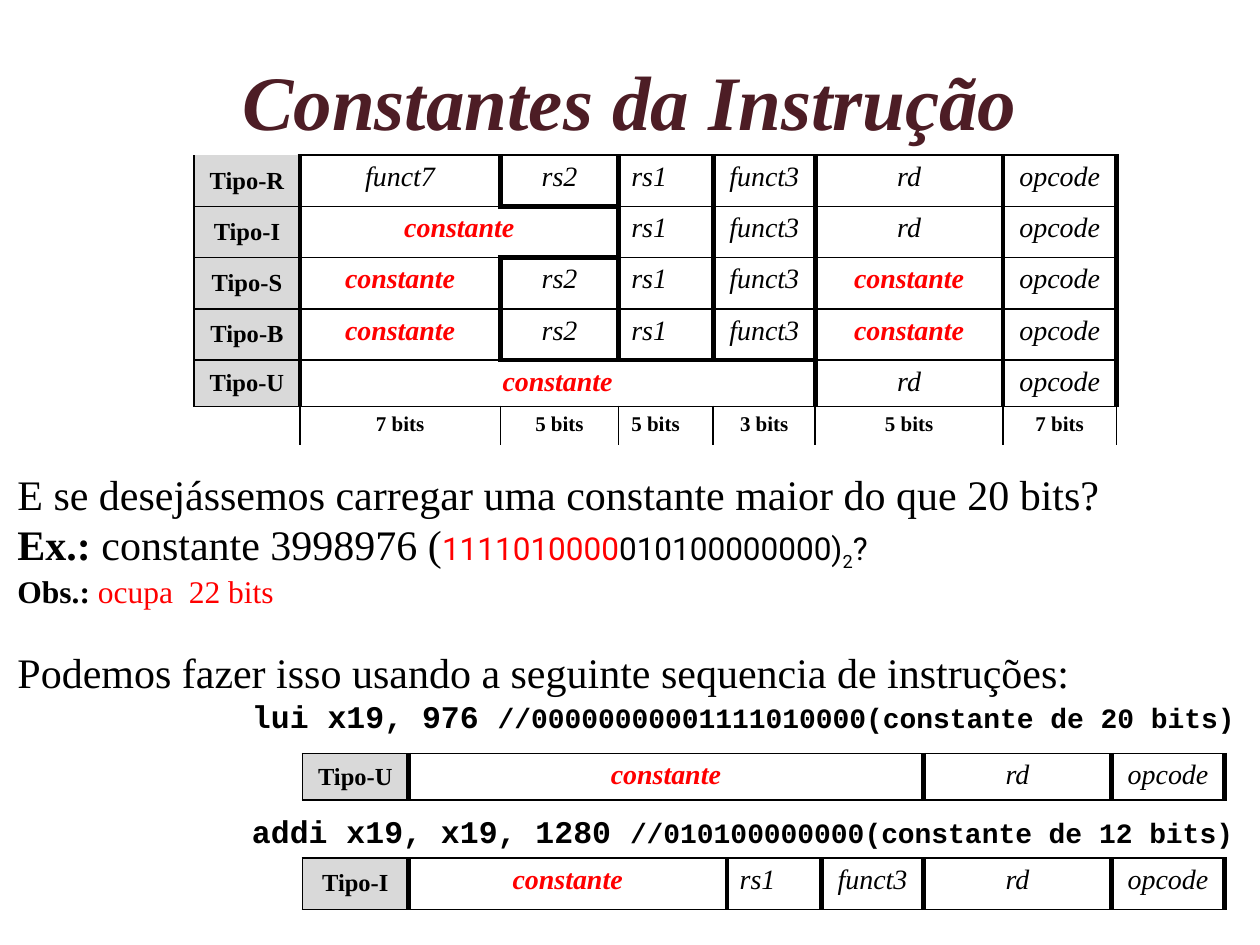
from pptx import Presentation
from pptx.dml.color import RGBColor
from pptx.enum.text import MSO_ANCHOR, PP_ALIGN
from pptx.oxml import parse_xml
from pptx.oxml.ns import nsdecls
from pptx.util import Pt

BLACK = RGBColor(0x00, 0x00, 0x00)
RED = RGBColor(0xFF, 0x00, 0x00)
GRAY = RGBColor(0xD9, 0xD9, 0xD9)
WINE = RGBColor(0x4D, 0x1D, 0x25)
SERIF, SANS, MONO = "Times New Roman", "Roboto", "Courier New"

COLUMN_WIDTHS = [60.5, 114.5, 67.7, 54, 58.3, 107.3, 64.8]
ROW_HEIGHT, SHORT_ROW, BITS_ROW = 29.3, 25.5, 22
# Each field is a text and the number of columns it covers.
FORMATS = {
    "Tipo-R": [("funct7", 1), ("rs2", 1), ("rs1", 1), ("funct3", 1), ("rd", 1), ("opcode", 1)],
    "Tipo-I": [("constante", 2), ("rs1", 1), ("funct3", 1), ("rd", 1), ("opcode", 1)],
    "Tipo-S": [("constante", 1), ("rs2", 1), ("rs1", 1), ("funct3", 1), ("constante", 1), ("opcode", 1)],
    "Tipo-B": [("constante", 1), ("rs2", 1), ("rs1", 1), ("funct3", 1), ("constante", 1), ("opcode", 1)],
    "Tipo-U": [("constante", 4), ("rd", 1), ("opcode", 1)],
}
BIT_COUNTS = [7, 5, 5, 3, 5, 7]
FIELD_BORDERS = {"L": 3, "R": 3, "T": 1, "B": 1}
LABEL_BORDERS = {"L": 1, "R": 3, "T": 1, "B": 1}
BITS_BORDERS = {"L": 1, "R": 1, "T": 1, "B": 0}
THICK_EDGES = {(0, 2): "B", (2, 2): "T", (3, 2): "B", (3, 3): "B", (3, 4): "B"}


def format_run(run, size, font=SERIF, color=BLACK, bold=False, italic=False):
    """Set the character format of a run."""
    run.font.size = Pt(size)
    run.font.name = font
    run.font.color.rgb = color
    run.font.bold = bold
    run.font.italic = italic


def set_borders(cell, widths):
    """Draw the four cell edges; a width of 0 hides an edge."""
    properties = cell._tc.get_or_add_tcPr()
    for position, side in enumerate("LRTB"):
        paint = f'<a:solidFill><a:srgbClr val="{BLACK}"/></a:solidFill>' if widths[side] else "<a:noFill/>"
        properties.insert(position, parse_xml(
            f'<a:ln{side} {nsdecls("a")} w="{Pt(widths[side])}">{paint}</a:ln{side}>'))


def fill_cell(cell, text, size, borders, fill=None, **style):
    """Write one table cell with its fill and borders."""
    if fill is None:
        cell.fill.background()
    else:
        cell.fill.solid()
        cell.fill.fore_color.rgb = fill
        cell.vertical_anchor = MSO_ANCHOR.MIDDLE
    set_borders(cell, borders)
    paragraph = cell.text_frame.paragraphs[0]
    paragraph.text = text
    paragraph.alignment = PP_ALIGN.CENTER
    paragraph.font.size = Pt(size)
    for run in paragraph.runs:
        format_run(run, size, **style)


def add_grid(slide, left, top, widths, heights):
    """Add an unstyled table with the given column widths and row heights."""
    table = slide.shapes.add_table(len(heights), len(widths), Pt(left), Pt(top),
                                   Pt(sum(widths)), Pt(sum(heights))).table
    table.first_row = table.horz_banding = False
    for column, width in zip(table.columns, widths):
        column.width = Pt(width)
    for row, height in zip(table.rows, heights):
        row.height = Pt(height)
    return table


def fill_format_row(table, row, label, fields):
    """Write an instruction format: a gray label and its fields."""
    label_borders = dict(LABEL_BORDERS, T=0) if label == "Tipo-R" else LABEL_BORDERS
    fill_cell(table.cell(row, 0), label, 14, label_borders, GRAY, bold=True)
    column = 1
    for text, span in fields:
        borders = dict(FIELD_BORDERS)
        if len(table.rows) > 1 and (row, column) in THICK_EDGES:
            borders[THICK_EDGES[row, column]] = 3
        cell = table.cell(row, column)
        if span > 1:
            cell.merge(table.cell(row, column + span - 1))
        constant = text == "constante"
        fill_cell(cell, text, 16, borders, italic=True, bold=constant,
                  color=RED if constant else BLACK)
        if text == "rs1":
            cell.text_frame.paragraphs[0].alignment = PP_ALIGN.LEFT
        column += span


def add_format_overview(slide):
    """Add the table of all formats, closed by the row of bit counts."""
    heights = [ROW_HEIGHT] * 4 + [SHORT_ROW, BITS_ROW]
    table = add_grid(slide, 110.9, 88.6, COLUMN_WIDTHS, heights)
    for row, (label, fields) in enumerate(FORMATS.items()):
        fill_format_row(table, row, label, fields)
    last = len(FORMATS)
    fill_cell(table.cell(last, 0), "", 12, dict(BITS_BORDERS, L=0))
    for column, count in enumerate(BIT_COUNTS, start=1):
        fill_cell(table.cell(last, column), f"{count} bits", 12, BITS_BORDERS, bold=True)
    table.cell(last, 3).text_frame.paragraphs[0].alignment = PP_ALIGN.LEFT


def add_single_format(slide, label, top, height):
    """Add a one-row table for one instruction format."""
    widths, start = [COLUMN_WIDTHS[0]], 1
    for _, span in FORMATS[label]:
        widths.append(sum(COLUMN_WIDTHS[start:start + span]))
        start += span
    table = add_grid(slide, 172.8, top, widths, [height])
    fill_format_row(table, 0, label, [(text, 1) for text, _ in FORMATS[label]])


def add_text_box(slide, left, top, width, height):
    """Add a wrapping text box and return its text frame."""
    text_frame = slide.shapes.add_textbox(Pt(left), Pt(top), Pt(width), Pt(height)).text_frame
    text_frame.word_wrap = True
    return text_frame


def add_title(slide):
    """Add the centred slide title."""
    text_frame = add_text_box(slide, 54, 36.7, 612, 47.5)
    text_frame.vertical_anchor = MSO_ANCHOR.MIDDLE
    text_frame.text = "Constantes da Instrução"
    paragraph = text_frame.paragraphs[0]
    paragraph.alignment = PP_ALIGN.CENTER
    paragraph.line_spacing = 0.9
    format_run(paragraph.runs[0], 44, color=WINE, bold=True, italic=True)


def add_explanation(slide):
    """Add the question, the example and the two instructions."""
    code = dict(font=MONO, bold=True)
    # Space before, left indent, and the runs as text, size and style.
    lines = [
        (0, 0, [("E se desejássemos carregar uma constante maior do que 20 bits?", 24, {})]),
        (0, 0, [("Ex.: ", 24, dict(bold=True)), ("constante 3998976 (", 24, {}),
                ("1111010000", 18, dict(font=SANS, color=RED)),
                ("010100000000)", 18, dict(font=SANS)),
                ("2", 18, dict(font=SANS)), ("?", 18, dict(font=SANS))]),
        (0, 0, [("Obs.: ", 18, dict(bold=True)), ("ocupa  22 bits", 18, dict(color=RED))]),
        (21, 0, [("Podemos fazer isso usando a seguinte sequencia de instruções:", 24, {})]),
        (0, 134, [("lui x19, 976 ", 18, code),
                  ("//00000000001111010000(constante de 20 bits)", 16, code)]),
        (44, 134, [("addi x19, x19, 1280 ", 18, code),
                   ("//010100000000(constante de 12 bits)", 16, code)]),
    ]
    text_frame = add_text_box(slide, 2.9, 264.2, 714.2, 225.4)
    for index, (space, indent, runs) in enumerate(lines):
        paragraph = text_frame.add_paragraph() if index else text_frame.paragraphs[0]
        paragraph.space_before = Pt(space)
        if indent:
            paragraph._p.get_or_add_pPr().set("marL", str(Pt(indent)))
        for text, size, style in runs:
            run = paragraph.add_run()
            run.text = text
            format_run(run, size, **style)
            if text == "2":
                run.font._element.set("baseline", "-25000")


def main():
    """Build the slide and save the presentation."""
    presentation = Presentation()
    presentation.slide_width, presentation.slide_height = Pt(720), Pt(540)
    slide = presentation.slides.add_slide(presentation.slide_layouts[6])
    add_title(slide)
    add_format_overview(slide)
    add_explanation(slide)
    add_single_format(slide, "Tipo-I", 490.3, ROW_HEIGHT)
    add_single_format(slide, "Tipo-U", 430.6, 26.6)
    presentation.save("out.pptx")


main()
